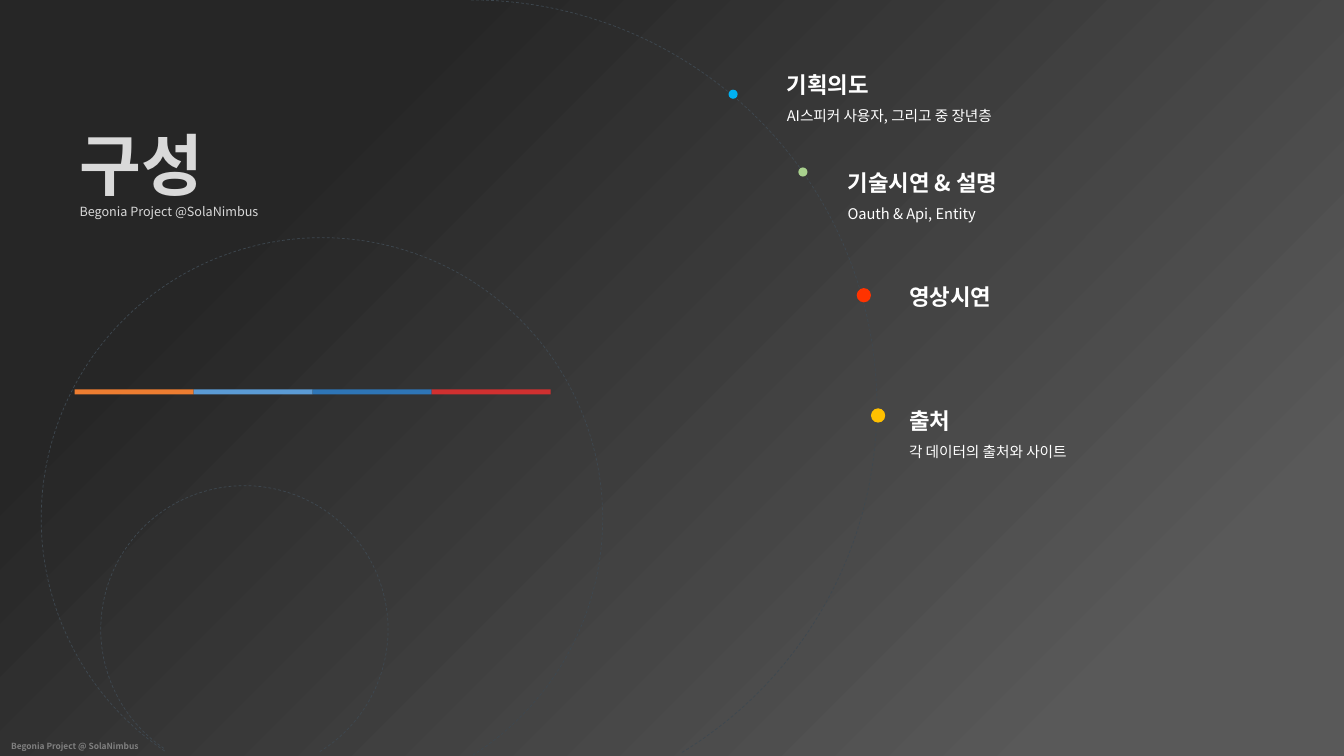
from pptx import Presentation
from pptx import util as u
from pptx.dml.color import RGBColor
from pptx.enum import dml, shapes, text
from pptx.oxml.ns import qn
from lxml import etree

FONT = "Noto Sans CJK KR"
# left, top, width, height, heading, detail (in cm)
TOPICS = [
    (19.58, 1.32, 8.1, 1.96, "기획의도", "AI스피커 사용자, 그리고 중 장년층"),
    (21.11, 3.81, 8.1, 1.96, "기술시연 & 설명", "Oauth & Api, Entity"),
    (22.66, 6.68, 8.1, 1.14, "영상시연", None),
    (22.66, 9.8, 7.62, 1.96, "출처", "각 데이터의 출처와 사이트"),
]
# left, top, diameter, start angle in degrees
ARCS = [(1.04, 5.99, 14.15, 124.07), (1.65, 0, 20.45, 270), (2.54, 12.24, 7.24, 124.07)]
ARC_END = 58.87
# left, top, diameter, colour
DOTS = [
    (21.95, 10.29, 0.36, "FFC000"),
    (21.59, 7.26, 0.36, "FF3300"),
    (20.12, 4.22, 0.23, "A9D18E"),
    (18.36, 2.26, 0.23, "00B0F0"),
]
BAR_COLOURS = ["ED7D31", "5B9BD5", "2E75B6", "D03030"]


def rgb(value):
    """Turn a hex string into a colour."""
    return RGBColor.from_string(value)


def add_preset(s, kind, x, y, w, h, fill=None):
    """Add a preset shape without outline or shadow."""
    sp = s.shapes.add_shape(kind, u.Cm(x), u.Cm(y), u.Cm(w), u.Cm(h))
    sp.shadow.inherit = False
    sp.line.fill.background()
    if fill:
        sp.fill.solid()
        sp.fill.fore_color.rgb = rgb(fill)
    else:
        sp.fill.background()
    return sp


def add_backdrop(s, prs):
    """Cover the slide with a diagonal gradient, behind everything."""
    sp = add_preset(s, shapes.MSO_SHAPE.RECTANGLE, 0, 0,
                    prs.slide_width.cm, prs.slide_height.cm)
    sp.fill.gradient()
    sp.fill.gradient_angle = 135
    for stop, (position, colour) in zip(sp.fill.gradient_stops,
                                        [(0.14, "595959"), (0.78, "262626")]):
        stop.position = position
        stop.color.rgb = rgb(colour)
    s.shapes._spTree.insert(2, sp._element)


def add_arc(s, x, y, size, start):
    """Add a thin dashed arc."""
    sp = add_preset(s, shapes.MSO_SHAPE.ARC, x, y, size, size)
    # Angles are stored in 60000ths of a degree, adjustments in 100000ths
    sp.adjustments[0] = start * 0.6
    sp.adjustments[1] = ARC_END * 0.6
    sp.line.color.rgb = rgb("3E4850")
    sp.line.width = u.Pt(0.5)
    sp.line.dash_style = dml.MSO_LINE.DASH


def write(p, words, size, colour="FFFFFF", bold=False, spacing=1.5):
    """Write one formatted run into a paragraph."""
    p.alignment = text.PP_ALIGN.LEFT
    p.line_spacing = spacing
    p.space_before = u.Pt(0)
    r = p.add_run()
    r.text = words
    r.font.name = FONT
    r.font.size = u.Pt(size)
    r.font.bold = bold
    r.font.color.rgb = rgb(colour)
    etree.SubElement(r._r.get_or_add_rPr(), qn("a:ea")).set("typeface", FONT)


def prepare_frame(sp):
    """Make a text shape wrap and grow from its top."""
    tf = sp.text_frame
    tf.word_wrap = True
    tf.auto_size = text.MSO_AUTO_SIZE.SHAPE_TO_FIT_TEXT
    tf.vertical_anchor = text.MSO_ANCHOR.TOP
    return tf


def add_text_box(s, x, y, w, h):
    """Add a text box and return its frame."""
    return prepare_frame(s.shapes.add_textbox(u.Cm(x), u.Cm(y), u.Cm(w), u.Cm(h)))


def fill_title(s):
    """Place the title with the project line under it."""
    sp = s.shapes.title
    sp.left, sp.top, sp.width, sp.height = map(u.Cm, (1.75, 2.97, 13.67, 2.69))
    tf = prepare_frame(sp)
    write(tf.paragraphs[0], "구성", 48, "D9D9D9", bold=True, spacing=1.0)
    write(tf.add_paragraph(), "Begonia Project @SolaNimbus", 9, "D9D9D9", spacing=1.0)


def add_topic(s, x, y, w, h, heading, detail):
    """Add a topic heading with an optional detail line."""
    tf = add_text_box(s, x, y, w, h)
    write(tf.paragraphs[0], heading, 16, bold=True)
    if detail:
        write(tf.add_paragraph(), detail, 10.5)


def main():
    """Build the contents slide."""
    prs = Presentation()
    prs.slide_width, prs.slide_height = u.Cm(33.87), u.Cm(19.05)
    s = prs.slides.add_slide(prs.slide_layouts[5])
    add_backdrop(s, prs)
    for arc in ARCS:
        add_arc(s, *arc)
    for x, y, size, colour in DOTS:
        add_preset(s, shapes.MSO_SHAPE.OVAL, x, y, size, size, colour)
    fill_title(s)
    for topic in TOPICS:
        add_topic(s, *topic)
    footer = add_text_box(s, 0.03, 18.42, 4.75, 0.58)
    write(footer.paragraphs[0], "Begonia Project @ SolaNimbus", 6, "808080", bold=True)
    for i, colour in enumerate(BAR_COLOURS):
        add_preset(s, shapes.MSO_SHAPE.RECTANGLE, 1.88 + 3 * i, 9.81, 3, 0.13, colour)
    prs.save("out.pptx")


main()
